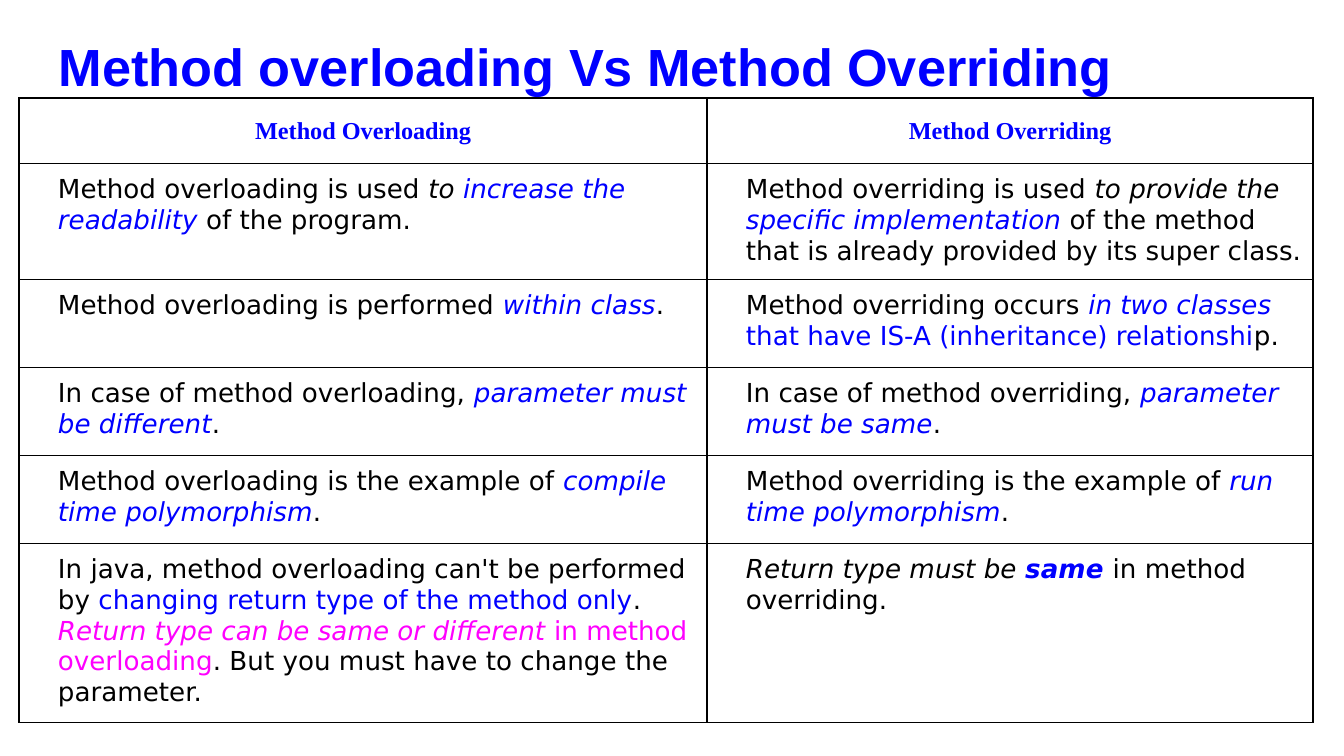
import pptx
import pptx.util
import pptx.dml.color
import pptx.enum.text
import pptx.oxml
import pptx.oxml.ns

BLACK = pptx.dml.color.RGBColor(0x00, 0x00, 0x00)
BLUE = pptx.dml.color.RGBColor(0x00, 0x00, 0xFF)
MAGENTA = pptx.dml.color.RGBColor(0xFF, 0x00, 0xFF)
WHITE = pptx.dml.color.RGBColor(0xFF, 0xFF, 0xFF)

# Content: every cell is a list of (text, style) runs
HEADING = "Method overloading Vs Method Overriding"
COLUMN_NAMES = ["Method Overloading", "Method Overriding"]
COMPARISON = [
    ([("Method overloading is used ", "plain"), ("to ", "slanted"),
      ("increase the readability", "key"), (" of the program.", "plain")],
     [("Method overriding is used ", "plain"), ("to provide the ", "slanted"),
      ("specific implementation", "key"),
      (" of the method that is already provided by its super class.", "plain")]),
    ([("Method overloading is performed ", "plain"), ("within class", "key"),
      (".", "plain")],
     [("Method overriding occurs ", "plain"), ("in two classes", "key"),
      (" that have IS-A (inheritance) relationshi", "blue"), ("p.", "plain")]),
    ([("In case of method overloading, ", "plain"),
      ("parameter must be different", "key"), (".", "plain")],
     [("In case of method overriding, ", "plain"),
      ("parameter must be same", "key"), (".", "plain")]),
    ([("Method overloading is the example of ", "plain"),
      ("compile time polymorphism", "key"), (".", "plain")],
     [("Method overriding is the example of ", "plain"),
      ("run time polymorphism", "key"), (".", "plain")]),
    ([("In java, method overloading can't be performed by ", "plain"),
      ("changing return type of the method only", "blue"), (". ", "plain"),
      ("Return type can be same or different", "magenta key"),
      (" in method overloading", "magenta"),
      (". But you must have to change the parameter.", "plain")],
     [("Return type must be ", "slanted"), ("same ", "strong key"),
      ("in method overriding.", "plain")]),
]

# Format values
BODY = {"name": "DejaVu Sans", "size": pptx.util.Pt(14), "bold": False, "italic": False}
STYLES = {
    "heading": (BLUE, {"name": "Arial", "size": pptx.util.Pt(28), "bold": True}),
    "column": (BLUE, {"name": "Times New Roman", "size": pptx.util.Pt(13), "bold": True}),
    "plain": (BLACK, BODY),
    "slanted": (BLACK, {**BODY, "italic": True}),
    "blue": (BLUE, BODY),
    "key": (BLUE, {**BODY, "italic": True}),
    "strong key": (BLUE, {**BODY, "italic": True, "bold": True}),
    "magenta": (MAGENTA, BODY),
    "magenta key": (MAGENTA, {**BODY, "italic": True}),
}
COLUMN_WIDTHS = [688, 606]
ROW_HEIGHTS = [64, 115, 88, 88, 88, 176]
TABLE_LEFT, TABLE_TOP = 19, 98
MARGINS = ("margin_left", "margin_right", "margin_top", "margin_bottom")


def px(pixels):
    return pptx.util.Emu(round(pixels * 914400 / 134.4))


def set_all(target, values):
    for attribute, value in values.items():
        setattr(target, attribute, value)


def add_runs(paragraph, runs):
    for text, style in runs:
        run = paragraph.add_run()
        run.text = text
        color, values = STYLES[style]
        set_all(run.font, values)
        run.font.color.rgb = color


def add_borders(cell):
    properties = cell._tc.get_or_add_tcPr()
    for position, side in enumerate(("lnL", "lnR", "lnT", "lnB")):
        properties.insert(position, pptx.oxml.parse_xml(
            f'<a:{side} {pptx.oxml.ns.nsdecls("a")} w="9525"><a:solidFill>'
            f'<a:srgbClr val="{BLACK}"/></a:solidFill></a:{side}>'))


presentation = pptx.Presentation()
set_all(presentation, {"slide_width": px(1344), "slide_height": px(756)})
slide = presentation.slides.add_slide(presentation.slide_layouts[6])

# Heading
heading = slide.shapes.add_textbox(px(46), px(15), px(1253), px(85)).text_frame
set_all(heading, {**dict.fromkeys(MARGINS, px(13)), "margin_top": px(19), "word_wrap": True})
add_runs(heading.paragraphs[0], [(HEADING, "heading")])

# Comparison table
table = slide.shapes.add_table(
    len(ROW_HEIGHTS), len(COLUMN_WIDTHS), px(TABLE_LEFT), px(TABLE_TOP),
    px(sum(COLUMN_WIDTHS)), px(sum(ROW_HEIGHTS))).table
set_all(table, {"first_row": False, "horz_banding": False})
for column, width in zip(table.columns, COLUMN_WIDTHS):
    column.width = px(width)
for row, height in zip(table.rows, ROW_HEIGHTS):
    row.height = px(height)

rows = [[[(name, "column")] for name in COLUMN_NAMES], *COMPARISON]
for row_number, row_runs in enumerate(rows):
    for column_number, runs in enumerate(row_runs):
        cell = table.cell(row_number, column_number)
        cell.fill.solid()
        cell.fill.fore_color.rgb = WHITE
        add_borders(cell)
        paragraph = cell.text_frame.paragraphs[0]
        if row_number == 0:
            set_all(cell, dict.fromkeys(MARGINS, px(16)))
            set_all(paragraph, {"alignment": pptx.enum.text.PP_ALIGN.CENTER,
                                "line_spacing": 1.15})
        else:
            set_all(cell, dict.fromkeys(MARGINS, px(11)))
            paragraph._p.get_or_add_pPr().set("marL", str(px(28)))
        add_runs(paragraph, runs)

presentation.save("out.pptx")
